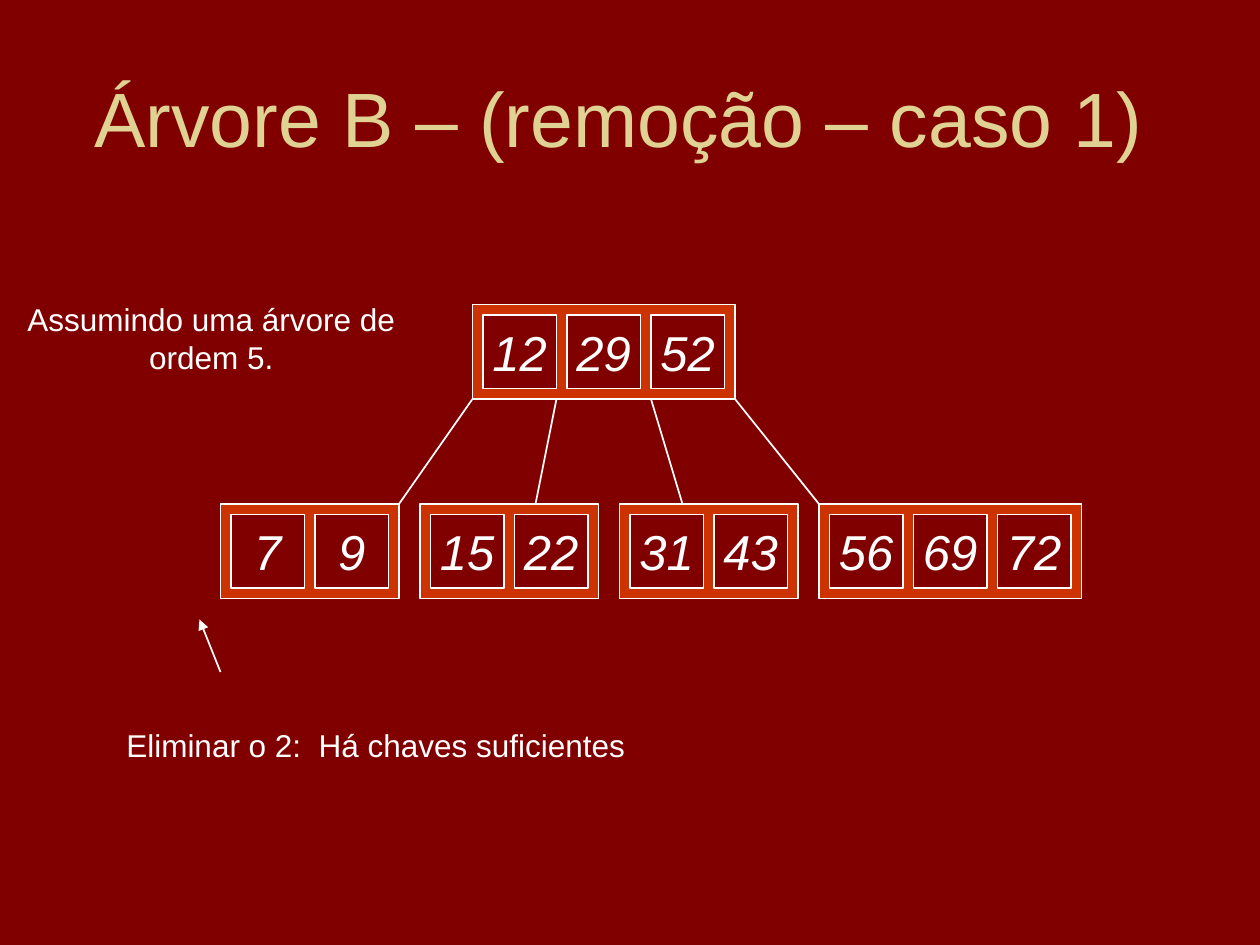
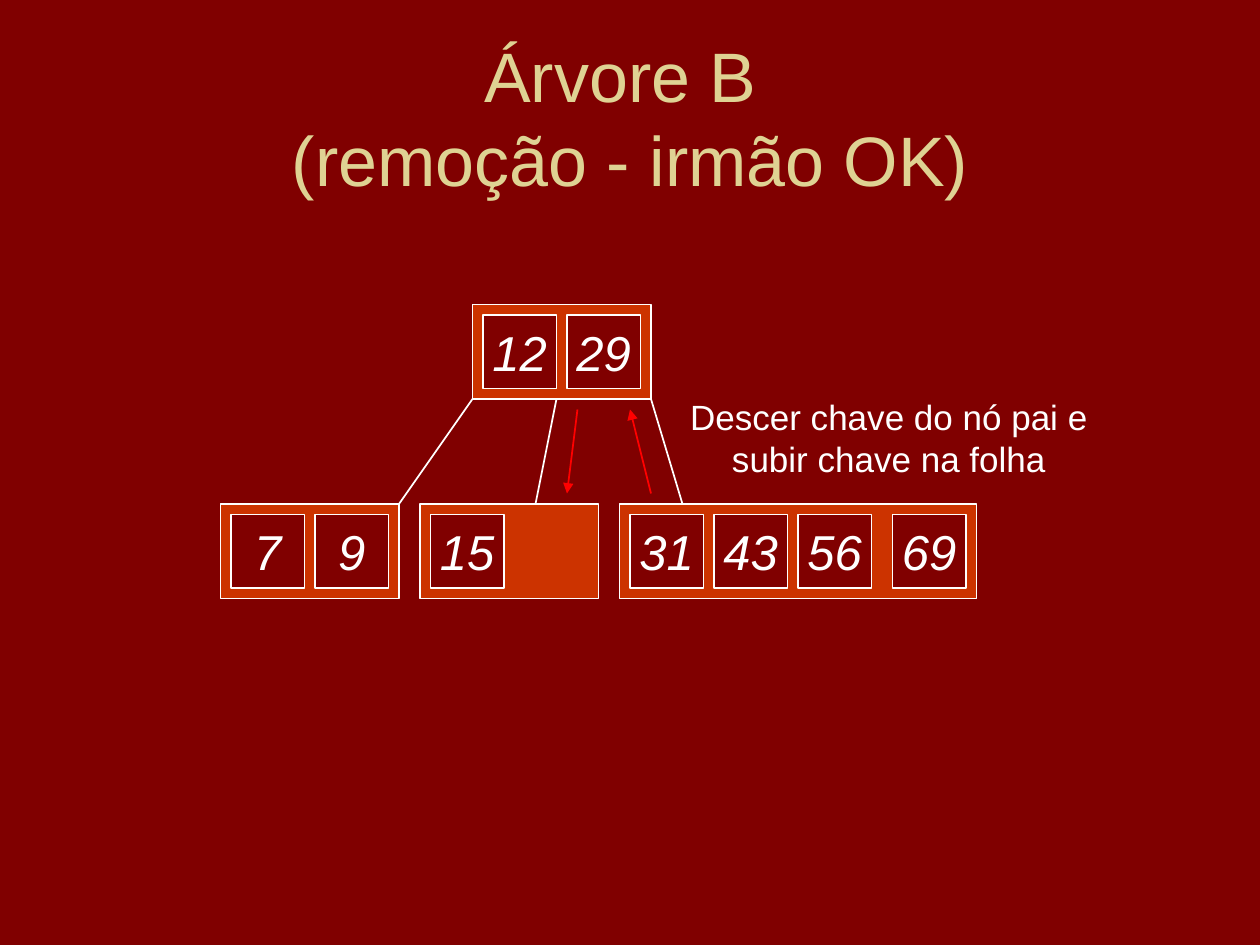
"""Build two slides on removing keys from a B-tree."""
from dataclasses import dataclass
from lxml import etree
from pptx import Presentation
from pptx import util as u
from pptx.dml.color import RGBColor
from pptx.enum import shapes, text
from pptx.oxml import ns


@dataclass(frozen=True)
class Theme:
    back: str = "800000"
    node: str = "CC3300"
    ink: str = "FFFFFF"
    gold: str = "DFD293"
    move: str = "FF0000"
    font: str = "Arial"
    head: int = 44
    long: int = 40
    key: int = 28
    note: int = 18
    hint: int = 20
    line: int = 1


CELL, PAD = 42, 6
STEP = CELL + PAD
HIGH = CELL + 2 * PAD
TOP, LOW = 174, 288
BASE = TOP + HIGH
ROOT = 270
LEAF = [126 + 114 * i for i in range(4)]
EDGES = [(270, 228), (318, 306), (372, 390), (420, 468)]


class Deck:
    def __init__(self, theme):
        self.theme = theme
        self.prs = Presentation()
        self.prs.slide_width, self.prs.slide_height = u.Pt(720), u.Pt(540)
        self.paint(self.prs.slide_master.background.fill, theme.back)
        self.slide = None

    def paint(self, fill, color):
        fill.solid()
        fill.fore_color.rgb = RGBColor.from_string(color)

    def stroke(self, line, color):
        line.color.rgb = RGBColor.from_string(color)
        line.width = u.Pt(self.theme.line)

    def label(self, frame, words, size, color, wrap=False, slant=False):
        frame.text = words
        frame.word_wrap = wrap
        frame.auto_size = text.MSO_AUTO_SIZE.NONE
        frame.vertical_anchor = text.MSO_ANCHOR.MIDDLE
        for para in frame.paragraphs:
            para.alignment = text.PP_ALIGN.CENTER
            for run in para.runs:
                font = run.font
                font.name, font.size, font.italic = self.theme.font, u.Pt(size), slant
                font.color.rgb = RGBColor.from_string(color)

    def page(self, words, size):
        self.slide = self.prs.slides.add_slide(self.prs.slide_layouts[5])
        title = self.slide.shapes.title
        title.left, title.top = u.Pt(36), u.Pt(21.5)
        title.width, title.height = u.Pt(648), u.Pt(90)
        self.label(title.text_frame, words, size, self.theme.gold, wrap=True)

    def rect(self, x, y, wide, high, color):
        box = self.slide.shapes.add_shape(
            shapes.MSO_SHAPE.RECTANGLE, u.Pt(x), u.Pt(y), u.Pt(wide), u.Pt(high))
        box.shadow.inherit = False
        self.paint(box.fill, color)
        self.stroke(box.line, self.theme.ink)
        return box

    def node(self, x, y, keys, slots=0, shift=0):
        wide = PAD + STEP * (slots or len(keys)) + shift
        self.rect(x, y, wide, HIGH, self.theme.node)
        for i, key in enumerate(keys):
            left = x + PAD + STEP * i + (shift if i == len(keys) - 1 else 0)
            cell = self.rect(left, y + PAD, CELL, CELL, self.theme.back)
            self.label(cell.text_frame, str(key), self.theme.key, self.theme.ink, slant=True)

    def link(self, x1, y1, x2, y2, color=None, head=False):
        link = self.slide.shapes.add_connector(
            shapes.MSO_CONNECTOR.STRAIGHT, u.Pt(x1), u.Pt(y1), u.Pt(x2), u.Pt(y2))
        self.stroke(link.line, color or self.theme.ink)
        props = link.element.spPr
        if head:
            etree.SubElement(props.find(ns.qn("a:ln")), ns.qn("a:tailEnd"), type="triangle")
        etree.SubElement(props, ns.qn("a:effectLst"))

    def tree(self, root, leaves):
        self.node(ROOT, TOP, root)
        for x, leaf in zip(LEAF, leaves):
            self.node(x, LOW, **leaf)
        for start, end in EDGES[:len(leaves)]:
            self.link(start, BASE, end, LOW)

    def note(self, words, x, y, wide, high, size):
        box = self.slide.shapes.add_textbox(u.Pt(x), u.Pt(y), u.Pt(wide), u.Pt(high))
        self.label(box.text_frame, words, size, self.theme.ink)


def main():
    theme = Theme()
    deck = Deck(theme)

    deck.page("Árvore B – (remoção – caso 1) ", theme.head)
    deck.tree([12, 29, 52], [
        dict(keys=[7, 9]), dict(keys=[15, 22]),
        dict(keys=[31, 43]), dict(keys=[56, 69, 72])])
    deck.note("Eliminar o 2:  Há chaves suficientes ", 65, 411, 304.5, 29, theme.note)
    deck.link(126, 384, 114, 354, head=True)
    deck.note("Assumindo uma árvore de\nordem 5.", 8.5, 168, 224.5, 50.5, theme.note)

    deck.page("Árvore B \v(remoção - irmão OK)", theme.long)
    deck.tree([12, 29], [
        dict(keys=[7, 9]), dict(keys=[15], slots=2),
        dict(keys=[31, 43, 56, 69], shift=PAD)])
    deck.link(372, 282, 360, 234, theme.move, head=True)
    deck.link(330, 234, 324, 282, theme.move, head=True)
    deck.note("Descer chave do nó pai e\nsubir chave na folha", 387.5, 222, 241, 55.5, theme.hint)

    deck.prs.save("out.pptx")


if __name__ == "__main__":
    main()
